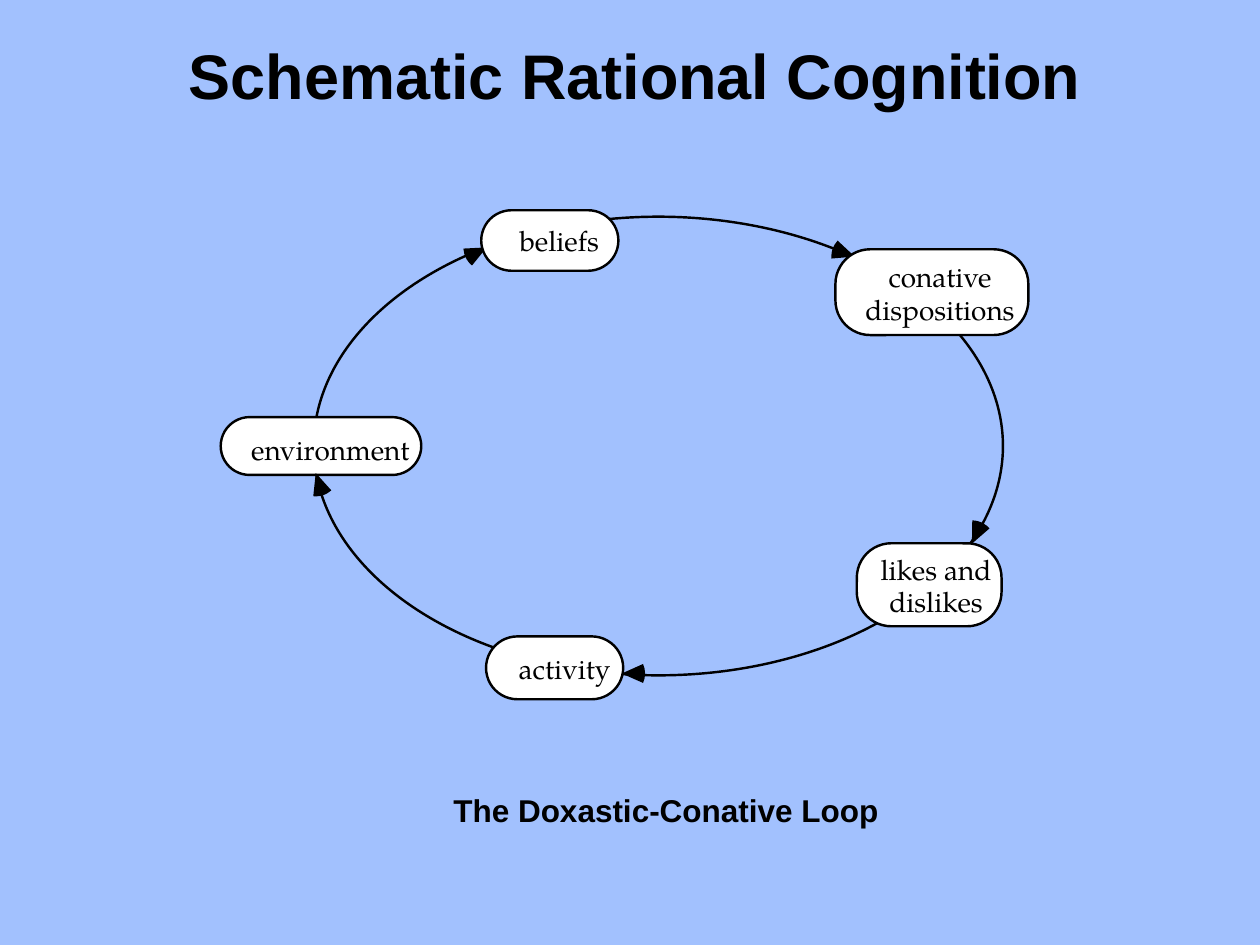
from pptx import Presentation
from pptx.dml.color import RGBColor
from pptx.enum.shapes import MSO_SHAPE
from pptx.enum.text import MSO_ANCHOR, MSO_AUTO_SIZE, PP_ALIGN
from pptx.util import Inches, Pt

OVAL, ROUND, PIE = MSO_SHAPE.OVAL, MSO_SHAPE.ROUNDED_RECTANGLE, MSO_SHAPE.PIE
MIDDLE, CENTER, LEFT = MSO_ANCHOR.MIDDLE, PP_ALIGN.CENTER, PP_ALIGN.LEFT
FIXED = MSO_AUTO_SIZE.NONE

COLORS = {"back": "A2C1FE", "ink": "000000", "node": "FFFFFF"}
SANS, SERIF = "Arial", "TeX Gyre Pagella"
WIDTH, HEIGHT = 10, 7.5
STROKE = 1.39
REACH, SPREAD = 0.185, 48  # arrowhead radius and opening angle
DEGREE = 0.6  # one degree in units of a shape adjustment

LOOP = (2.49, 1.72, 5.47, 3.64)

# Label, offset and size inside the loop box as shares of it,
# corner rounding, left and top inset of the label
LOWER = [
    ("likes and\ndislikes", (0.788, 0.712, 0.21, 0.181), 0.416, 0.11, 0.03),
    ("activity", (0.25, 0.915, 0.199, 0.137), 0.5, 0.16, 0),
    ("environment", (-0.135, 0.437, 0.291, 0.126), 0.5, 0.15, 0.05),
]
UPPER = [
    ("beliefs", (0.243, -0.014, 0.199, 0.132), 0.5, 0.15, 0),
    ("conative\ndispositions", (0.757, 0.071, 0.28, 0.187), 0.405, 0.13, 0.03),
]
# Tip as shares of the loop box, and the angle the head opens toward
HEADS = [
    (0.251, 0.067, 153),
    (0.785, 0.087, 199),
    (0.955, 0.713, 295),
    (0.447, 0.996, 0),
    (0.003, 0.559, 72),
]


def color(name):
    return RGBColor.from_string(COLORS[name])


def place(box, share):
    """Turn shares of a box into lengths on the slide."""
    x, y, w, h = box
    left, top, wide, high = share
    return x + left * w, y + top * h, wide * w, high * h


def write(frame, text, font, size, bold=False, align=CENTER, lead=1.0):
    frame.text = text
    for para in frame.paragraphs:
        para.alignment = align
        para.line_spacing = lead
        para.font.name = font
        para.font.size = Pt(size)
        para.font.bold = bold
        para.font.color.rgb = color("ink")


def add_form(slide, kind, box, fill=None, line=False):
    form = slide.shapes.add_shape(kind, *map(Inches, box))
    form.shadow.inherit = False
    if fill:
        form.fill.solid()
        form.fill.fore_color.rgb = color(fill)
    else:
        form.fill.background()
    if line:
        form.line.color.rgb = color("ink")
        form.line.width = Pt(STROKE)
    else:
        form.line.fill.background()
    return form


def add_node(slide, box, label, share, bend, shift, drop):
    node = add_form(slide, ROUND, place(box, share), "node", line=True)
    node.adjustments[0] = bend
    frame = node.text_frame
    frame.word_wrap = False
    frame.vertical_anchor = MIDDLE
    frame.margin_left, frame.margin_top = Inches(shift), Inches(drop)
    frame.margin_right = frame.margin_bottom = 0
    write(frame, label, SERIF, 16, lead=0.97 if "\n" in label else 1.0)


def add_head(slide, box, across, down, angle):
    """Draw an arrowhead as a pie slice with its centre at the tip."""
    x, y, _, _ = place(box, (across, down, 0, 0))
    side = 2 * REACH
    head = add_form(slide, PIE, (x - REACH, y - REACH, side, side), "ink")
    head.adjustments[0] = (angle - SPREAD / 2) % 360 * DEGREE
    head.adjustments[1] = (angle + SPREAD / 2) % 360 * DEGREE


def add_loop(slide, box):
    # Ring that links the nodes
    add_form(slide, OVAL, box, line=True)
    # Nodes and arrowheads, back to front
    for node in LOWER:
        add_node(slide, box, *node)
    for head in HEADS:
        add_head(slide, box, *head)
    for node in UPPER:
        add_node(slide, box, *node)


def add_title(slide, box):
    title = slide.shapes.title
    title.left, title.top, title.width, title.height = map(Inches, box)
    frame = title.text_frame
    frame.auto_size = FIXED
    frame.vertical_anchor = MIDDLE
    write(frame, "Schematic Rational Cognition", SANS, 36, bold=True, lead=0.9)


def add_caption(slide, box):
    frame = slide.shapes.add_textbox(*map(Inches, box)).text_frame
    frame.word_wrap = True
    write(frame, "The Doxastic-Conative Loop", SANS, 18, bold=True, align=LEFT)


def main():
    deck = Presentation()
    deck.slide_width, deck.slide_height = Inches(WIDTH), Inches(HEIGHT)
    slide = deck.slides.add_slide(deck.slide_layouts[5])
    slide.background.fill.solid()
    slide.background.fill.fore_color.rgb = color("back")
    add_loop(slide, LOOP)
    add_title(slide, (0.25, 0.17, 9.58, 0.92))
    add_caption(slide, (3.5, 6.23, 3.65, 0.4))
    deck.save("out.pptx")


if __name__ == "__main__":
    main()
